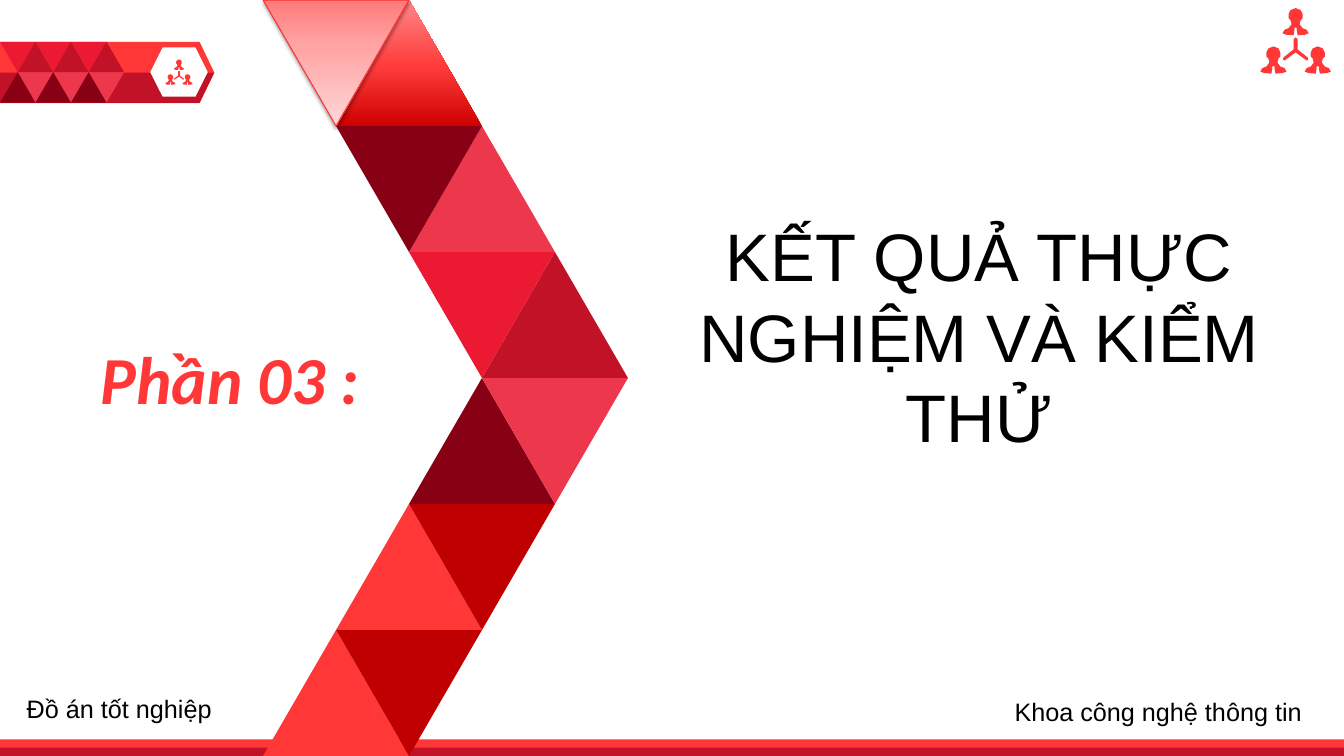
import pptx
import pptx.util
import pptx.oxml
import pptx.oxml.ns
import pptx.dml.color
import pptx.enum.shapes
import pptx.enum.text

RGB = pptx.dml.color.RGBColor
FORM = pptx.enum.shapes.MSO_SHAPE
FIT = pptx.enum.text.MSO_AUTO_SIZE
ALIGN = pptx.enum.text.PP_ALIGN
Pt = pptx.util.Pt
NS = pptx.oxml.ns.nsdecls("a")

BLACK = RGB(0x00, 0x00, 0x00)
WHITE = RGB(0xFF, 0xFF, 0xFF)
CORAL = RGB(0xFF, 0x37, 0x37)
EDGE = RGB(0xFD, 0x30, 0x30)
CRIMSON = RGB(0xC2, 0x12, 0x27)
SCARLET = RGB(0xEB, 0x19, 0x32)
ROSE = RGB(0xED, 0x37, 0x4D)
WINE = RGB(0x88, 0x00, 0x14)
BRICK = RGB(0xC0, 0x00, 0x00)
DEEP = [(0, RGB(0xCF, 0x00, 0x00)), (48, RGB(0xFF, 0x3C, 0x3C)), (100, RGB(0xFF, 0x87, 0x87))]
PALE = [(0, RGB(0xFF, 0x7A, 0x7B)), (35, RGB(0xFF, 0xA3, 0xA3)), (100, RGB(0xFF, 0xD6, 0xD6))]

BODY = [(0, 0), (5, 2), (7, 6), (7, 10), (5, 12), (4, 16), (7, 20), (11, 21.5),
        (13, 25), (9, 26.5), (2, 27), (1, 21), (2, 21), (0, 19)]
FORK = [(0, 29), (2, 31), (2, 41), (12, 49), (12.5, 51), (11, 52), (0, 44)]


def mirror(half):
    return half + [(-x, y) for x, y in half[-2:0:-1]]


def write(frame, text, size=18, font="Arial", color=BLACK, bold=False,
          slant=False, align=ALIGN.LEFT, fit=FIT.NONE):
    frame.word_wrap = True
    frame.auto_size = fit
    frame.vertical_anchor = pptx.enum.text.MSO_ANCHOR.TOP
    para = frame.paragraphs[0]
    para.alignment = align
    run = para.add_run()
    run.text = text
    run.font.size = Pt(size)
    run.font.name = font
    run.font.bold = bold
    run.font.italic = slant
    run.font.color.rgb = color


class Page:
    def __init__(self, deck):
        self.slide = deck.slides.add_slide(deck.slide_layouts[5])
        self.items = self.slide.shapes
        self.wide, self.high = deck.slide_width, deck.slide_height

    def spot(self, x, y):
        return round(self.wide * x / 100), round(self.high * y / 100)

    def paint(self, item, fill):
        item.shadow.inherit = False
        item.line.fill.background()
        if isinstance(fill, list):
            item.fill.gradient()
            item.fill.gradient_angle = 90
            stops = item._element.spPr.find(".//" + pptx.oxml.ns.qn("a:gsLst"))
            for stop in list(stops):
                stops.remove(stop)
            for share, color in fill:
                stops.append(pptx.oxml.parse_xml(
                    f'<a:gs {NS} pos="{share * 1000}"><a:srgbClr val="{color}"/></a:gs>'))
        else:
            item.fill.solid()
            item.fill.fore_color.rgb = fill
        return item

    def shape(self, form, x, y, w, h, fill, adjust=None):
        item = self.items.add_shape(form, *self.spot(x, y), *self.spot(w, h))
        if adjust is not None:
            item.adjustments[0] = adjust
        return self.paint(item, fill)

    def wedge(self, x, y, w, h, fill, down=False):
        item = self.shape(FORM.ISOSCELES_TRIANGLE, x, y, w, h, fill)
        item.rotation = 180 if down else 0
        return item

    def glow(self, item):
        item.line.color.rgb = EDGE
        item.line.width = Pt(0.75)
        effects = item._element.spPr.find(pptx.oxml.ns.qn("a:effectLst"))
        effects.append(pptx.oxml.parse_xml(
            f'<a:outerShdw {NS} blurRad="{Pt(3.1)}" dist="{Pt(1.6)}" dir="5400000" '
            'rotWithShape="0"><a:srgbClr val="000000"><a:alpha val="38000"/>'
            '</a:srgbClr></a:outerShdw>'))

    def outline(self, loops, fill):
        pen = self.items.build_freeform(*loops[0][0])
        pen.add_line_segments(loops[0][1:], close=True)
        for loop in loops[1:]:
            pen.move_to(*loop[0])
            pen.add_line_segments(loop[1:], close=True)
        return self.paint(pen.convert_to_shape(), fill)

    def team(self, x, y, w, fill):
        left, top = self.spot(x, y)
        unit = self.wide * w / 100 / 70
        body = mirror(BODY)
        loops = [[(a + dx, b + dy) for a, b in body]
                 for dx, dy in ((22, 38), (-22, 38), (0, 0))]
        loops.append(mirror(FORK))
        self.outline([[(round(left + a * unit), round(top + b * unit)) for a, b in loop]
                      for loop in loops], fill)

    def title(self, text, x, y, w, h, **style):
        item = self.items.title
        item.left, item.top = self.spot(x, y)
        item.width, item.height = self.spot(w, h)
        write(item.text_frame, text, **style)

    def label(self, text, x, y, w, h, **style):
        box = self.items.add_textbox(*self.spot(x, y), *self.spot(w, h))
        write(box.text_frame, text, **style)


def banner(page):
    page.shape(FORM.PENTAGON, 0, 5.55, 15.95, 8.1, CORAL, 0.24)
    page.outline([[page.spot(*p) for p in
                   ((0, 9.6), (15.95, 9.6), (14.85, 13.6), (0, 13.6))]], CRIMSON)
    page.shape(FORM.HEXAGON, 11.18, 6.27, 4.28, 6.53, WHITE, 0.25)
    page.team(13.32, 7.87, 2.03, CORAL)
    half, tall = 1.32, 4.03
    for n in range(3):
        for step, row, fill, down in ((0, 0, SCARLET, True), (1, 0, CRIMSON, False),
                                      (1, 1, ROSE, True), (0, 1, WINE, False)):
            page.wedge((2 * n + step) * half, 5.53 + row * tall, 2 * half, tall, fill, down)


def chevron(page):
    left, half, tall = 19.57, 5.43, 100 / 6
    rows = [(1, DEEP, 0, PALE), (2, ROSE, 1, WINE), (3, CRIMSON, 2, SCARLET),
            (2, WINE, 3, ROSE), (1, CORAL, 2, BRICK), (0, CORAL, 1, BRICK)]
    for n, (rise, light, fall, dark) in enumerate(rows):
        page.wedge(left + rise * half, n * tall, 2 * half, tall, light)
        item = page.wedge(left + fall * half, n * tall, 2 * half, tall, dark, True)
        if dark is PALE:
            page.glow(item)


def main():
    deck = pptx.Presentation()
    deck.slide_width = pptx.util.Inches(13.33)
    deck.slide_height = pptx.util.Inches(7.5)
    page = Page(deck)
    banner(page)
    page.shape(FORM.RECTANGLE, 0, 97.8, 100, 2.2, CORAL)
    page.shape(FORM.RECTANGLE, 0, 98.9, 100, 1.1, CRIMSON)
    chevron(page)
    page.label("Phần 03 :", 6.75, 44, 30.9, 12, size=48, font="Calibri",
               color=CORAL, bold=True, slant=True, fit=FIT.SHAPE_TO_FIT_TEXT)
    page.title("KẾT QUẢ THỰC NGHIỆM VÀ KIỂM THỬ", 46.62, 27.68, 52.5, 33.6,
               size=48, align=ALIGN.CENTER, fit=FIT.SHAPE_TO_FIT_TEXT)
    page.team(96.4, 1.07, 5.25, CORAL)
    page.label("Đồ án tốt nghiệp", 1.25, 91.07, 21.23, 5.33)
    page.label("Khoa công nghệ thông tin", 74.75, 91.47, 24.98, 5.33)
    deck.save("out.pptx")


if __name__ == "__main__":
    main()
